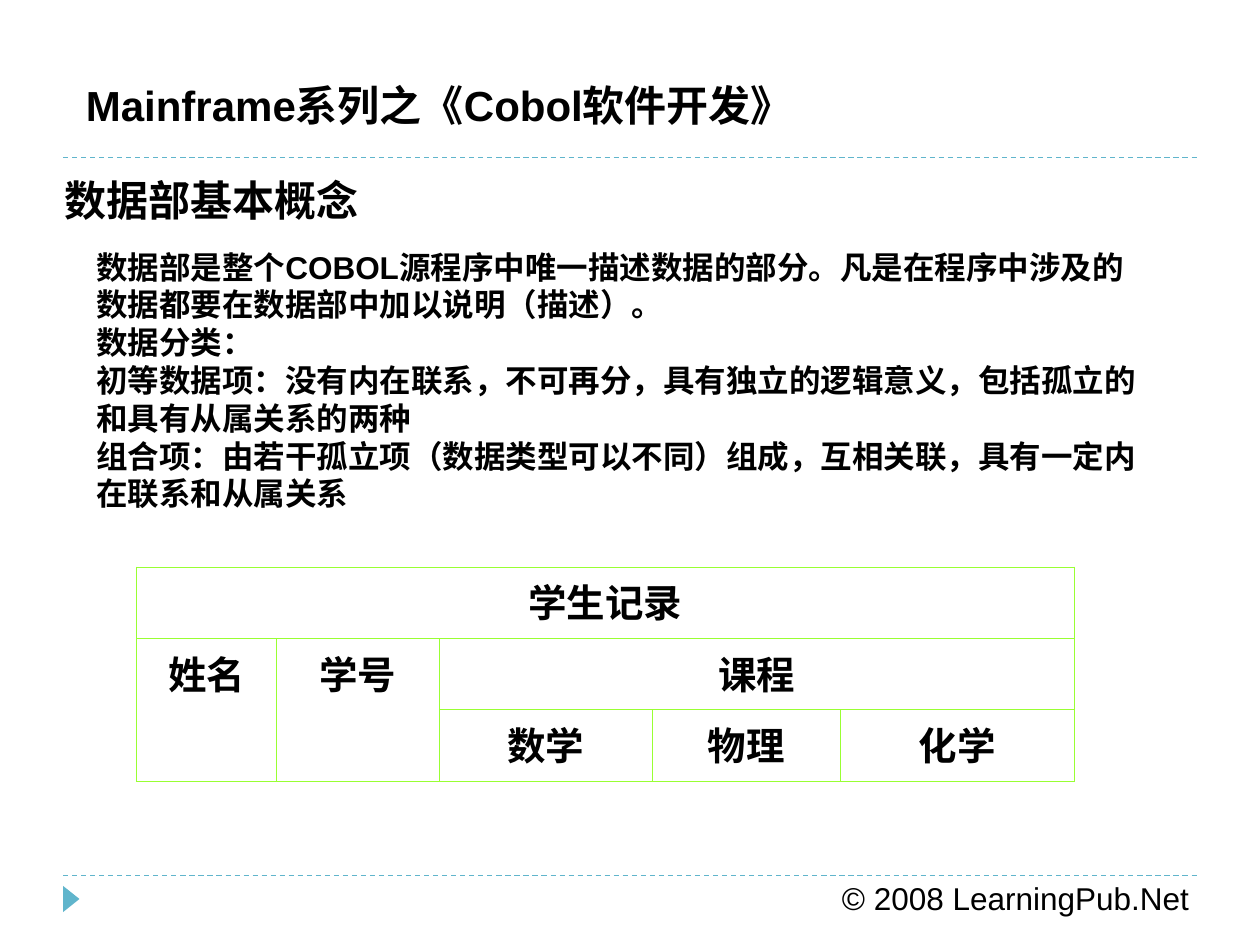
from dataclasses import dataclass

import lxml.etree
import pptx
import pptx.dml.color
import pptx.enum.dml
import pptx.enum.shapes
import pptx.enum.text
import pptx.oxml.ns
import pptx.util

Pt = pptx.util.Pt
COLOURS = {"text": "000000", "accent": "60B5CC", "border": "99FF33"}


@dataclass
class Label:
    lines: list[str]
    left: float
    top: float
    width: float
    height: float
    size: float
    bold: bool = True
    font: str = "Arial"


@dataclass
class Cell:
    text: str
    row: int
    column: int
    rows: int = 1
    columns: int = 1


LABELS = [
    Label(["© 2008 LearningPub.Net"], 474, 498.5, 216, 29, 18, bold=False),
    Label(["Mainframe系列之《Cobol软件开发》"], 42, 42, 438, 36, 24),
    Label(["数据部基本概念"], 30, 96, 648, 90, 24, font="TeX Gyre Bonum"),
    Label([
        "数据部是整个COBOL源程序中唯一描述数据的部分。凡是在程序中涉及的数据都要在数据部中加以说明（描述）。",
        "数据分类：",
        "初等数据项：没有内在联系，不可再分，具有独立的逻辑意义，包括孤立的和具有从属关系的两种",
        "组合项：由若干孤立项（数据类型可以不同）组成，互相关联，具有一定内在联系和从属关系",
    ], 48, 138, 612, 158.5, 18),
]
RULE_TOPS = [500.5, 90]
COLUMN_WIDTHS = [80, 93, 122, 107, 134]
ROW_HEIGHT = 40.8
ROW_COUNT = 3
CELLS = [
    Cell("学生记录", 0, 0, columns=5),
    Cell("姓名", 1, 0, rows=2),
    Cell("学号", 1, 1, rows=2),
    Cell("课程", 1, 2, columns=3),
    Cell("数学", 2, 2),
    Cell("物理", 2, 3),
    Cell("化学", 2, 4),
]


def colour(name: str) -> pptx.dml.color.RGBColor:
    """Return a named colour of the slide."""
    return pptx.dml.color.RGBColor.from_string(COLOURS[name])


def write(para, text: str, size: float, bold: bool, font: str) -> None:
    """Add one formatted span to a paragraph."""
    span = para.add_run()
    span.text = text
    for name, value in {"size": Pt(size), "bold": bold, "name": font}.items():
        setattr(span.font, name, value)
    span.font.color.rgb = colour("text")


def draw_label(page, label: Label) -> None:
    """Draw a wrapped text box with one paragraph per line."""
    box = page.shapes.add_textbox(
        Pt(label.left), Pt(label.top), Pt(label.width), Pt(label.height))
    frame = box.text_frame
    frame.word_wrap = True
    for index, line in enumerate(label.lines):
        para = frame.add_paragraph() if index else frame.paragraphs[0]
        write(para, line, label.size, label.bold, label.font)


def draw_rule(page, top: float) -> None:
    """Draw a dashed rule across the page."""
    rule = page.shapes.add_connector(
        pptx.enum.shapes.MSO_CONNECTOR.STRAIGHT, Pt(36), Pt(top), Pt(684), Pt(top))
    rule.line.color.rgb = colour("accent")
    rule.line.width = Pt(0.75)
    rule.line.dash_style = pptx.enum.dml.MSO_LINE.DASH
    lxml.etree.SubElement(
        rule._element.spPr, pptx.oxml.ns.qn("a:effectLst"))


def draw_marker(page) -> None:
    """Draw the footer triangle that points right."""
    marker = page.shapes.add_shape(
        pptx.enum.shapes.MSO_SHAPE.ISOSCELES_TRIANGLE,
        Pt(33.2), Pt(509), Pt(15), Pt(9.4))
    marker.rotation = 90
    marker.shadow.inherit = False
    marker.fill.solid()
    marker.fill.fore_color.rgb = colour("accent")
    marker.line.fill.background()


def set_borders(cell) -> None:
    """Give a table cell thin borders and no fill."""
    properties = cell._tc.get_or_add_tcPr()
    qn = pptx.oxml.ns.qn
    for side in ("lnL", "lnR", "lnT", "lnB"):
        line = lxml.etree.SubElement(properties, qn(f"a:{side}"), w=str(Pt(0.45)))
        fill = lxml.etree.SubElement(line, qn("a:solidFill"))
        lxml.etree.SubElement(fill, qn("a:srgbClr"), val=COLOURS["border"])
    cell.fill.background()


def draw_record(page) -> None:
    """Draw the student record table with its merged headings."""
    table = page.shapes.add_table(
        ROW_COUNT, len(COLUMN_WIDTHS), Pt(78), Pt(324),
        Pt(sum(COLUMN_WIDTHS)), Pt(ROW_HEIGHT * ROW_COUNT)).table
    for name in ("first_row", "horz_banding"):
        setattr(table, name, False)
    for column, width in zip(table.columns, COLUMN_WIDTHS):
        column.width = Pt(width)
    for row in table.rows:
        row.height = Pt(ROW_HEIGHT)
    for cell in table.iter_cells():
        set_borders(cell)
    for entry in CELLS:
        cell = table.cell(entry.row, entry.column)
        if entry.rows * entry.columns > 1:
            cell.merge(table.cell(entry.row + entry.rows - 1,
                                  entry.column + entry.columns - 1))
        para = cell.text_frame.paragraphs[0]
        para.alignment = pptx.enum.text.PP_ALIGN.CENTER
        write(para, entry.text, 22, True, "Calibri")


def main() -> None:
    """Build and save the slide."""
    deck = pptx.Presentation()
    deck.slide_width, deck.slide_height = Pt(720), Pt(540)
    page = deck.slides.add_slide(deck.slide_layouts[6])
    for top in RULE_TOPS:
        draw_rule(page, top)
    draw_marker(page)
    for label in LABELS:
        draw_label(page, label)
    draw_record(page)
    deck.save("out.pptx")


if __name__ == "__main__":
    main()
